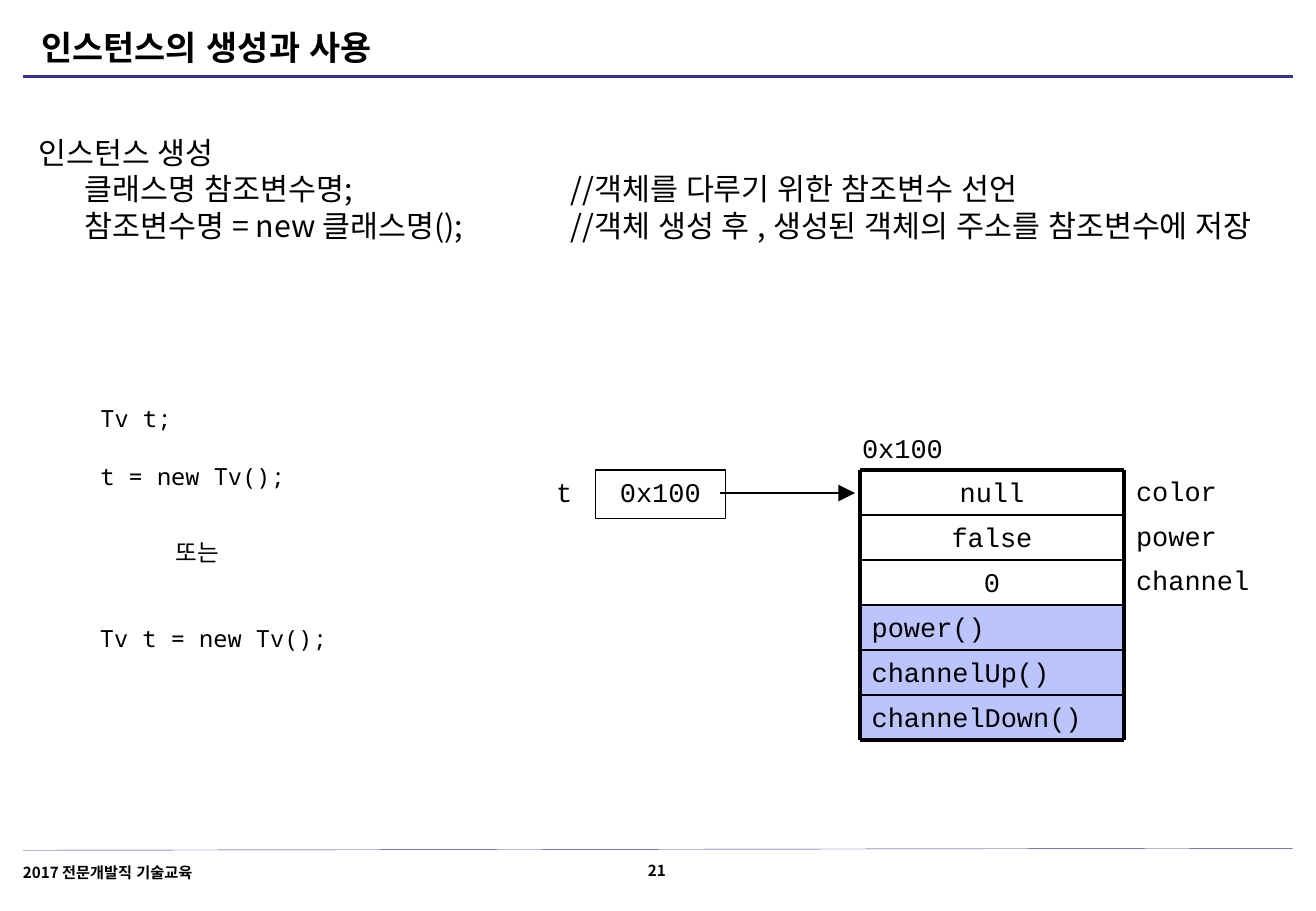
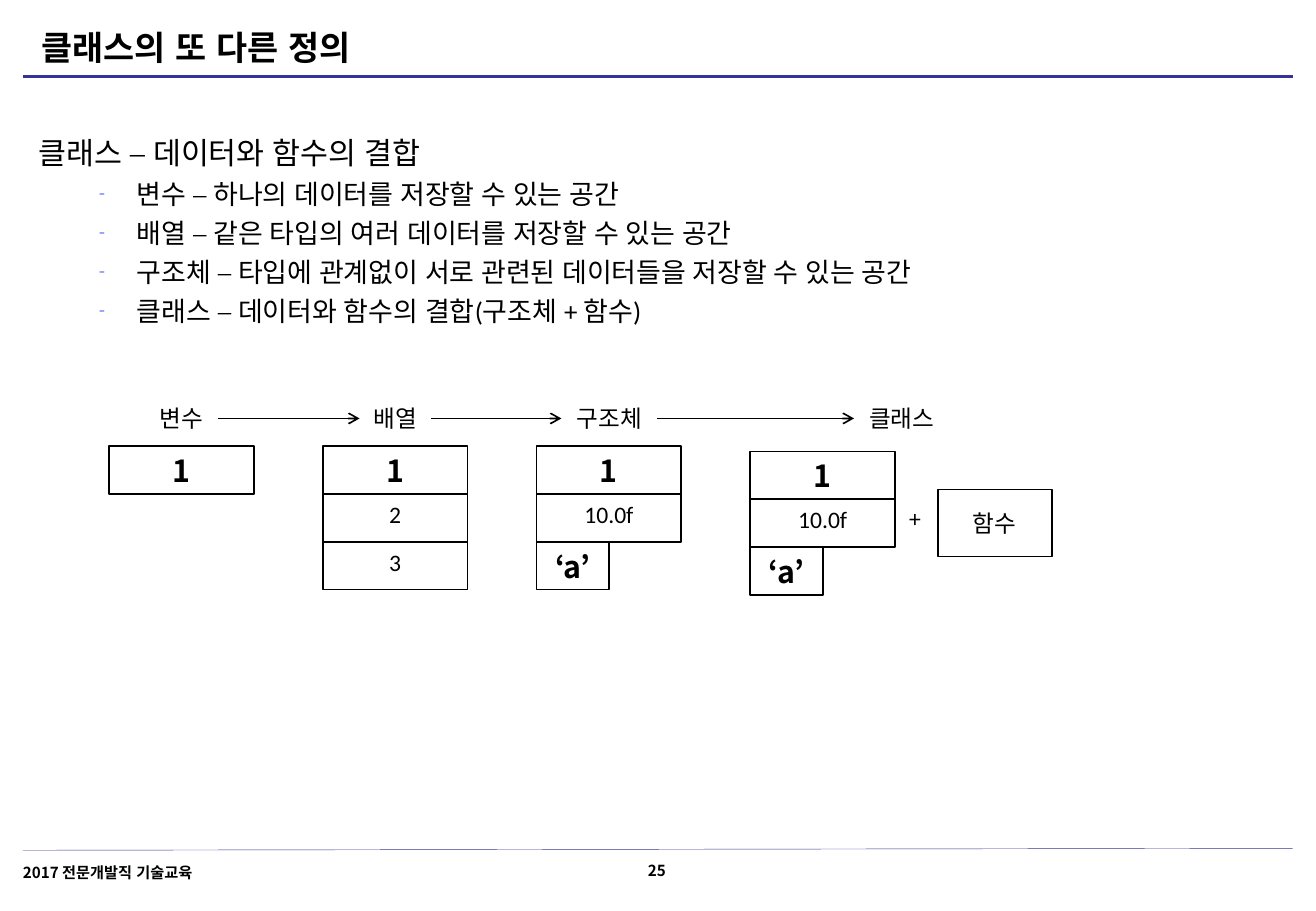
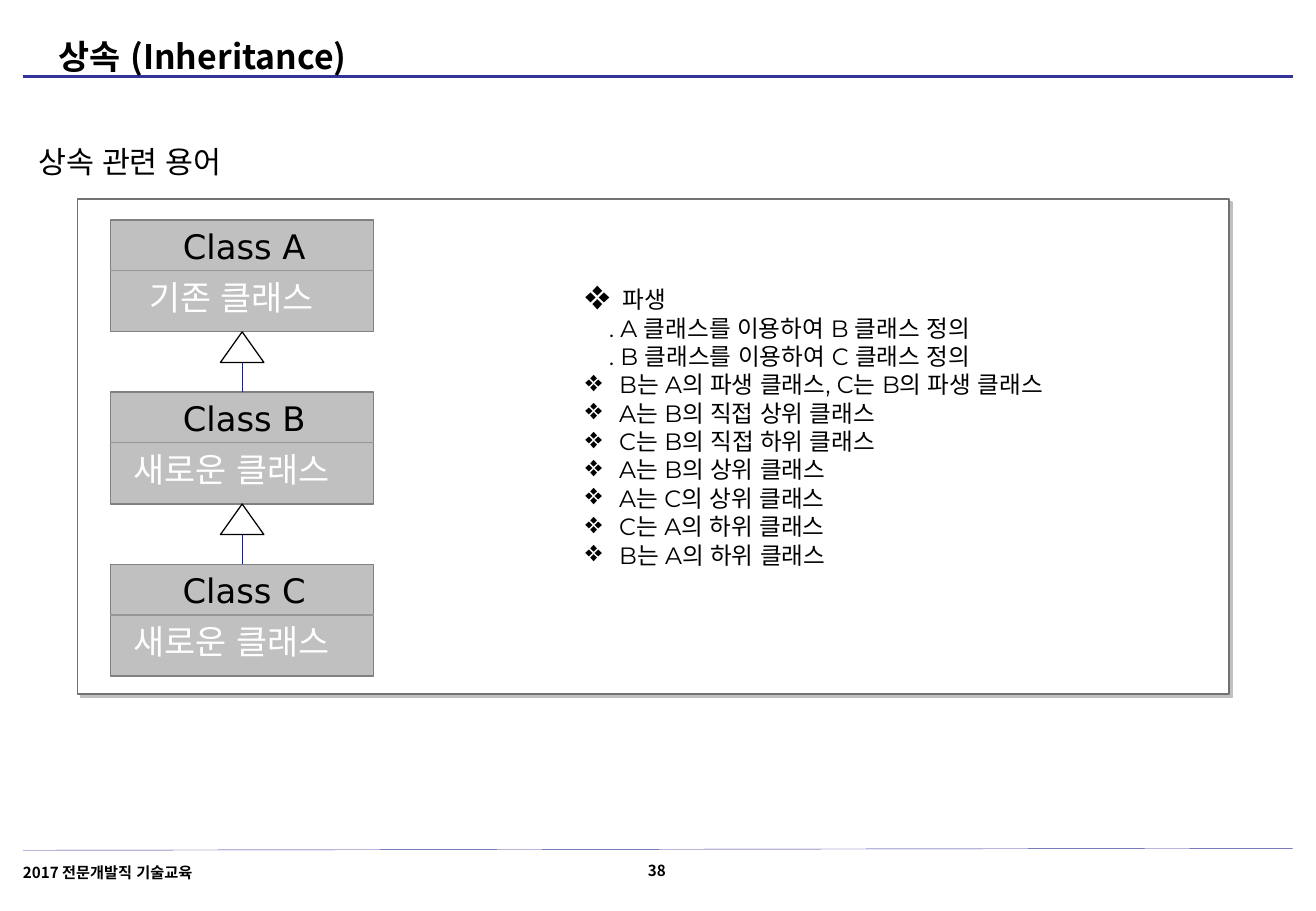
"""Build three Korean lecture slides on instances, classes and inheritance."""
from lxml.etree import SubElement
from pptx import Presentation
from pptx.dml.color import RGBColor
from pptx.enum.shapes import MSO_CONNECTOR, MSO_SHAPE
from pptx.enum.text import MSO_ANCHOR, MSO_AUTO_SIZE, PP_ALIGN
from pptx.oxml.ns import qn
from pptx.util import Cm, Pt

C = {"black": "000000", "white": "FFFFFF", "rule": "333399", "method": "BBC4FD",
     "dash": "7889FB", "panel": "727272", "grey": "C0C0C0", "edge": "808080",
     "divider": "969696", "link": "061DC8"}
CJK = "Noto Sans CJK KR"
EAST_ASIAN = {CJK: "Montserrat", "Calibri": "Montserrat"}
TITLE = {"name": CJK, "size": Pt(20), "bold": True}
HEAD = {"name": CJK, "size": Pt(18), "bold": False}
BIG = {"name": CJK, "size": Pt(18), "bold": True}
FOOT = {"name": CJK, "size": Pt(9), "bold": True}
MONO = {"name": "Noto Sans Mono", "size": Pt(14)}
COURIER = {"name": "Courier New", "size": Pt(16)}
ITEM = {"name": "Calibri", "size": Pt(16)}
LABEL = {"name": "Calibri", "size": Pt(14)}
CLASS = {"name": "DejaVu Sans", "size": Pt(20)}
ROLE = {"name": "Montserrat", "size": Pt(20)}
TERM = {"name": "Montserrat", "size": Pt(14)}
LEFT, CENTER = {"alignment": PP_ALIGN.LEFT}, {"alignment": PP_ALIGN.CENTER}
RECT = MSO_SHAPE.RECTANGLE


def dress(sp, lines=(), font=None, para=LEFT, color="black", fill=None, line=None, width=1, **frame):
    """Set the outline, fill, frame and text of a shape."""
    if fill or line:
        sp.shadow.inherit = False
        sp.fill.background()
        sp.line.fill.background()
        if fill:
            sp.fill.solid()
            sp.fill.fore_color.rgb = RGBColor.from_string(C[fill])
        if line:
            sp.line.color.rgb = RGBColor.from_string(C[line])
            sp.line.width = Pt(width)
    tf = sp.text_frame
    for key, value in {"word_wrap": True, "vertical_anchor": MSO_ANCHOR.TOP, **frame}.items():
        setattr(tf, key, value)
    for i, text in enumerate(lines):
        p = tf.add_paragraph() if i else tf.paragraphs[0]
        for key, value in para.items():
            setattr(p, key, value)
        r = p.add_run()
        r.text = text
        for key, value in font.items():
            setattr(r.font, key, value)
        r.font.color.rgb = RGBColor.from_string(C[color])
        SubElement(r.font._element, qn("a:ea"), typeface=EAST_ASIAN.get(font["name"], font["name"]))
    return sp


def link(s, start, end, color="black", width=1, head=None, size="med"):
    """Draw a straight line between points or (shape, side) pairs."""
    c = s.shapes.add_connector(MSO_CONNECTOR.STRAIGHT, 0, 0, 0, 0)
    if isinstance(start[0], (int, float)):
        c.begin_x, c.begin_y = map(Cm, start)
        c.end_x, c.end_y = map(Cm, end)
    else:
        c.begin_connect(*start)
        c.end_connect(*end)
    c.line.color.rgb = RGBColor.from_string(C[color])
    c.line.width = Pt(width)
    if head:
        SubElement(c.line._get_or_add_ln(), qn("a:tailEnd"), type=head, w=size, len=size)
    SubElement(c.element.spPr, qn("a:effectLst"))
    return c


prs = Presentation()
prs.slide_width, prs.slide_height = Cm(27.52), Cm(19.05)
layout = prs.slide_layouts[1]
for ph in list(layout.placeholders)[2:]:
    ph.element.getparent().remove(ph.element)

pages = [
    ("인스턴스의 생성과 사용", "21", (0.61, 0.43, 21.82, 1.12), MSO_ANCHOR.MIDDLE, 2.72, 3.23,
     ["인스턴스 생성", "\t클래스명 참조변수명;\t\t//객체를 다루기 위한 참조변수 선언",
      "\t참조변수명 = new 클래스명();\t//객체 생성 후 , 생성된 객체의 주소를 참조변수에 저장"]),
    ("클래스의 또 다른 정의", "25", (0.61, 0.43, 21.82, 1.12), MSO_ANCHOR.MIDDLE, 2.72, 0.91,
     ["클래스 – 데이터와 함수의 결합"]),
    ("상속 (Inheritance)", "38", (0.97, 0.61, 12.85, 1.12), MSO_ANCHOR.BOTTOM, 2.92, 0.91,
     ["상속 관련 용어"]),
]
slides = []
for title, number, place, anchor, top, height, lines in pages:
    s = prs.slides.add_slide(layout)
    slides.append(s)
    sp, body = s.placeholders
    sp.left, sp.top, sp.width, sp.height = map(Cm, place)
    dress(sp, [title], TITLE, vertical_anchor=anchor, auto_size=MSO_AUTO_SIZE.NONE)
    body.left, body.top, body.width, body.height = map(Cm, (0.62, top, 26.8, height))
    dress(body, lines, HEAD, {**LEFT, "line_spacing": Pt(21.6), "space_before": Pt(0)},
          auto_size=MSO_AUTO_SIZE.NONE, margin_left=Cm(0.18), margin_right=Cm(0.18),
          margin_top=Cm(0.08), margin_bottom=Cm(0.08))
    for p in body.text_frame.paragraphs:
        pPr = p._p.get_or_add_pPr()
        for key, value in {"marL": Cm(0.97), "indent": Cm(-0.97), "defTabSz": Cm(2.54)}.items():
            pPr.set(key, str(int(value)))
        SubElement(pPr, qn("a:buNone"))
    if s is slides[0]:
        footer = s.shapes.add_textbox(*map(Cm, (0.23, 17.88, 7.52, 0.69)))
        dress(footer, ["2017 전문개발직 기술교육"], FOOT, {**LEFT, "line_spacing": 1.1})
        shared = [footer, link(s, (0.48, 1.6), (27.03, 1.6), "rule", 2),
                  link(s, (0.48, 17.78), (27.03, 17.74), "rule", 0.25)]
        for sp in shared:
            layout.shapes.element.append(sp.element)
    sp = s.shapes.add_textbox(*map(Cm, (12.68, 17.91, 2.11, 0.61)))
    dress(sp, [number], FOOT, CENTER, vertical_anchor=MSO_ANCHOR.BOTTOM)

s = slides[0]
for text, x, y, w in [("Tv t;", 1.85, 8.33, 4.65), ("t = new Tv();", 1.85, 9.53, 6.93),
                      ("또는", 3.43, 11.13, 1.5), ("Tv t = new Tv();", 1.84, 12.93, 8.46)]:
    dress(s.shapes.add_textbox(*map(Cm, (x, y, w, 0.86))), [text], MONO)

x, y, w, h = 17.98, 9.83, 5.53, 0.94
members = [("null", "color"), ("false", "power"), ("0", "channel"),
           ("power()", None), ("channelUp()", None), ("channelDown()", None)]
n = len(members)
for i, (text, field) in enumerate(members):
    place = [Cm(v) for v in (x, y + i * h, w, h)]
    if field:
        dress(s.shapes.add_textbox(*place), [text], COURIER, CENTER)
        sp = s.shapes.add_textbox(*map(Cm, (x + w, y - 0.04 + i * h, 3.48, h)))
        dress(sp, [field], COURIER)
    else:
        dress(s.shapes.add_shape(RECT, *place), [text], COURIER, fill="method")
for i in range(n + 1):
    link(s, (x, y + i * h), (x + w, y + i * h), width=2.25 if i in (0, n) else 1)
for side in (x, x + w):
    link(s, (side, y), (side, y + n * h), width=2.25)
for text, left, top in [("0x100", 17.78, 8.89), ("t", 11.38, 9.83)]:
    dress(s.shapes.add_textbox(*map(Cm, (left, top, 2.82, h))), [text], COURIER)
ref = s.shapes.add_shape(RECT, *map(Cm, (12.45, 9.83, 2.72, 1.02)))
dress(ref, ["0x100"], COURIER, CENTER, line="black", width=0.75)
link(s, (15.06, 10.31), (17.88, 10.31), head="triangle", size="lg")

s = slides[1]
body = s.placeholders[1]
body.height = Cm(4.29)
for text in ["변수 – 하나의 데이터를 저장할 수 있는 공간", "배열 – 같은 타입의 여러 데이터를 저장할 수 있는 공간",
             "구조체 – 타입에 관계없이 서로 관련된 데이터들을 저장할 수 있는 공간",
             "클래스 – 데이터와 함수의 결합(구조체 + 함수)"]:
    p = body.text_frame.add_paragraph()
    p.level, p.line_spacing, p.space_before = 1, 1.04, Pt(3.2)
    pPr = p._p.get_or_add_pPr()
    pPr.set("marL", str(int(Cm(2.06))))
    pPr.set("indent", str(int(Cm(-0.79))))
    SubElement(SubElement(pPr, qn("a:buClr")), qn("a:srgbClr"), val=C["dash"])
    SubElement(pPr, qn("a:buSzPct"), val="70000")
    SubElement(pPr, qn("a:buChar"), char="-")
    r = p.add_run()
    r.text = text
    for key, value in ITEM.items():
        setattr(r.font, key, value)
    SubElement(r.font._element, qn("a:ea"), typeface=EAST_ASIAN[ITEM["name"]])

stacks = [("변수", 3.8, 1.5, 9.33, ["1"]), ("배열", 8.27, 1.5, 9.33, ["1", "2", "3"]),
          ("구조체", 12.74, 2, 9.33, ["1", "10.0f", "‘a’"]),
          ("클래스", 18.86, 2, 9.44, ["1", "10.0f", "‘a’"])]
labels = []
for col, (name, mid, w, top, values) in enumerate(stacks):
    sp = s.shapes.add_textbox(*map(Cm, (mid - w / 2, 8.32, w, 0.86)))
    labels.append(dress(sp, [name], LABEL, CENTER, word_wrap=False))
    for row, value in enumerate(values):
        width = 1.52 if value == "‘a’" else 3.03
        sp = s.shapes.add_shape(RECT, *map(Cm, (2.28 + col * 4.47, top + row, width, 1)))
        dress(sp, [value], BIG if value in ("1", "‘a’") else LABEL, CENTER, line="black")
for a, b in zip(labels, labels[1:]):
    link(s, (a, 3), (b, 1), head="arrow")
sp = s.shapes.add_shape(RECT, *map(Cm, (19.61, 10.24, 2.39, 1.4)))
dress(sp, ["함수"], LABEL, CENTER, line="black", vertical_anchor=MSO_ANCHOR.MIDDLE)
sp = s.shapes.add_textbox(*map(Cm, (18.73, 10.42, 0.81, 0.86)))
dress(sp, ["+"], LABEL, CENTER, word_wrap=False)

s = slides[2]
panel = s.shapes.add_shape(RECT, *map(Cm, (1.62, 4.16, 24.08, 10.36)))
dress(panel, fill="white", line="panel")
shadow = SubElement(panel.element.spPr.find(qn("a:effectLst")), qn("a:outerShdw"),
                    dist=str(Pt(2.8)), dir="2700000", algn="ctr", rotWithShape="0")
SubElement(shadow, qn("a:srgbClr"), val=C["grey"])

x, w, h = 2.31, 5.51, 2.34
above = None
for i, (name, role) in enumerate([("Class A", "기존 클래스"), ("Class B", "새로운 클래스"),
                                  ("Class C", "새로운 클래스")]):
    y = 4.6 + i * 3.6
    box = dress(s.shapes.add_shape(RECT, *map(Cm, (x, y, w, h))), fill="grey", line="edge", width=0.75)
    link(s, (x, y + 1.06), (x + w, y + 1.06), "divider", 0.75)
    dress(s.shapes.add_textbox(*map(Cm, (3.56, y, 3.1, 1.12))), [name], CLASS, CENTER, word_wrap=False)
    sp = s.shapes.add_textbox(*map(Cm, (2.33, y + 1.06, 5.03, 1.12)))
    dress(sp, [role], ROLE, CENTER, "white", word_wrap=False)
    if above:
        link(s, (box, 0), (above, 2), "link", 0.75)
        sp = s.shapes.add_shape(MSO_SHAPE.FLOWCHART_EXTRACT, *map(Cm, (4.61, y - 1.26, 0.91, 0.64)))
        dress(sp, fill="white", line="black", width=0.75)
    above = box

terms = ["파생", ". A 클래스를 이용하여 B 클래스 정의", ". B 클래스를 이용하여 C 클래스 정의",
         "B는 A의 파생 클래스, C는 B의 파생 클래스", "A는 B의 직접 상위 클래스", "C는 B의 직접 하위 클래스",
         "A는 B의 상위 클래스", "A는 C의 상위 클래스", "C는 A의 하위 클래스", "B는 A의 하위 클래스"]
sp = s.shapes.add_textbox(*map(Cm, (11.99, 5.84, 12, 6.3)))
dress(sp, terms, TERM)
for p in sp.text_frame.paragraphs:
    pPr = p._p.get_or_add_pPr()
    if p.text.startswith("."):
        pPr.set("marL", str(int(Cm(0.5))))
        continue
    first = p.text == terms[0]
    gap = Cm(0.78 if first else 0.71)
    pPr.set("marL", str(int(gap)))
    pPr.set("indent", str(int(-gap)))
    SubElement(pPr, qn("a:buSzPct"), val="180000" if first else "125000")
    SubElement(pPr, qn("a:buChar"), char="❖")

prs.save("out.pptx")
